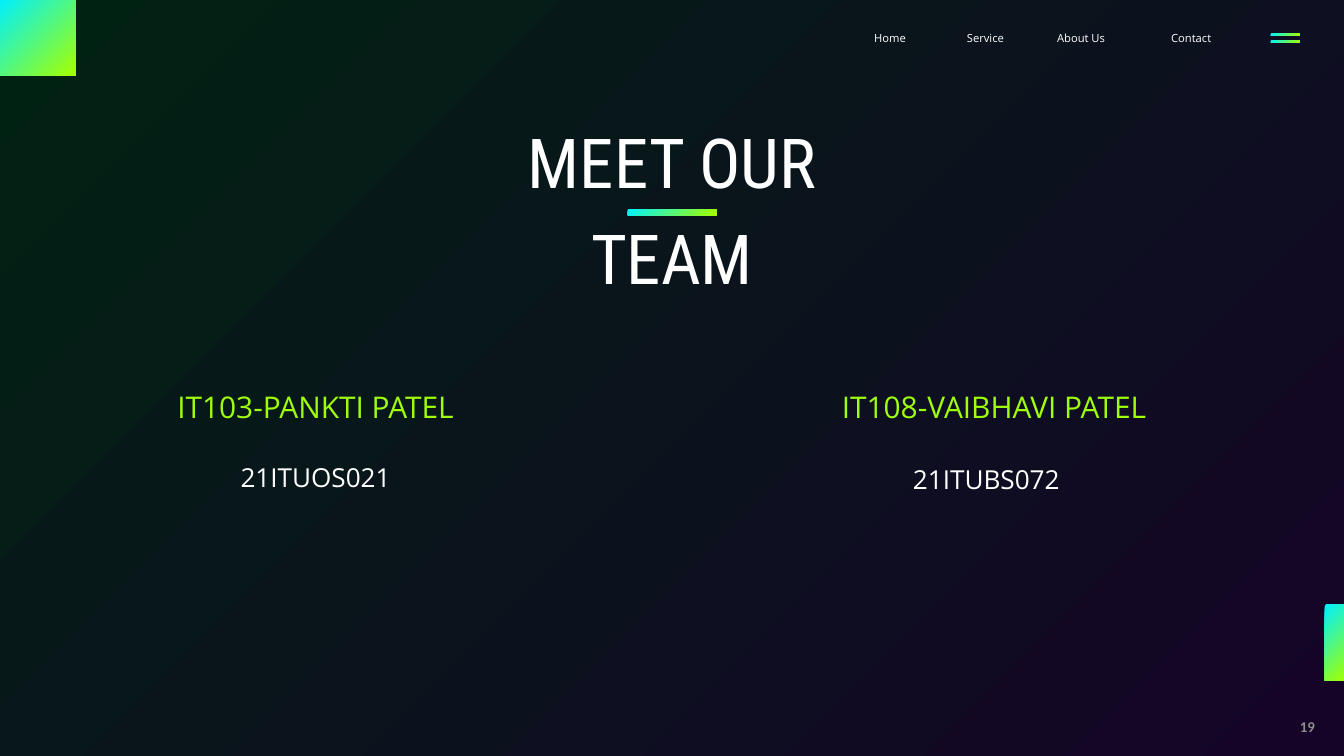
from pptx import Presentation
from pptx.dml.color import RGBColor
from pptx.enum.shapes import MSO_SHAPE as Shape
from pptx.enum.text import MSO_ANCHOR as Anchor, MSO_AUTO_SIZE as Fit, PP_ALIGN as Align
from pptx.util import Pt

GREEN = RGBColor(0x00, 0x22, 0x12)
PURPLE = RGBColor(0x15, 0x04, 0x27)
CYAN = RGBColor(0x00, 0xF0, 0xFF)
LIME = RGBColor(0xA6, 0xFF, 0x00)
NAME = RGBColor(0x9E, 0xFE, 0x0B)
WHITE = RGBColor(0xFF, 0xFF, 0xFF)
GRAY = RGBColor(0x8C, 0x8C, 0x8C)


def blend(fill, start, end):
    """Give a fill a diagonal gradient between two colours."""
    fill.gradient()
    fill.gradient_angle = 315
    for stop, color in zip(fill.gradient_stops, (start, end)):
        stop.color.rgb = color


def block(slide, left, top, width, height):
    """Draw one bright gradient rectangle."""
    shape = slide.shapes.add_shape(Shape.RECTANGLE, Pt(left), Pt(top), Pt(width), Pt(height))
    shape.shadow.inherit = False
    shape.line.fill.background()
    blend(shape.fill, CYAN, LIME)


def write(slide, text, box, size, color=WHITE, font="Open Sans", align=Align.CENTER,
          lead=None, bold=False, anchor=Anchor.TOP, shape=None):
    """Write text in a new box, or in the shape given."""
    left, top, width, height = (Pt(n) for n in box)
    if shape is None:
        shape = slide.shapes.add_textbox(left, top, width, height)
    shape.left, shape.top, shape.width, shape.height = left, top, width, height
    frame = shape.text_frame
    frame.word_wrap = True
    frame.auto_size = Fit.NONE
    frame.vertical_anchor = anchor
    frame.margin_left = frame.margin_right = frame.margin_top = frame.margin_bottom = 0
    frame.text = text
    para = frame.paragraphs[0]
    para.alignment = align
    if lead:
        para.line_spacing = Pt(lead)
    face = para.runs[0].font
    face.name, face.size, face.bold = font, Pt(size), bold
    face.color.rgb = color


def menu(slide, left, top):
    """Place the page links and the two-bar menu icon."""
    links = (("Home", 0, 64), ("Service", 99.4, 58), ("About Us", 196, 84), ("Contact", 318.2, 77))
    for text, shift, width in links:
        write(slide, text, (left + shift, top, width, 16), 12, align=Align.LEFT, lead=16.8)
    for row in range(2):
        block(slide, left + 425, top + 4.2 + row * 7.2, 31.2, 2.4)


def head(slide, left, top, width):
    """Place the title and the accent bar between its lines."""
    write(slide, "MEET OUR TEAM", (left, top, width, 100), 73.8, font="Roboto Condensed",
          lead=103.3, shape=slide.shapes.title)
    bar = 95
    block(slide, left + (width - bar) / 2, top + 111, bar, 6.5)


def member(slide, name, code, box, spot):
    """Place a member's name, with the code at an offset from it."""
    left, top, width, height = box
    right, down = spot
    write(slide, name, box, 32, color=NAME, lead=44.8)
    write(slide, code, (left + right, top + down, 240, 40), 28, lead=39.2)


def build():
    """Build the team slide and save it."""
    deck = Presentation()
    deck.slide_width, deck.slide_height = Pt(1440), Pt(810)
    slide = deck.slides.add_slide(deck.slide_layouts[5])
    blend(slide.background.fill, GREEN, PURPLE)
    block(slide, 0, 0, 81, 81)
    block(slide, 1419.5, 648, 23, 81)
    menu(slide, 936.6, 31.7)
    head(slide, 471.2, 113, 497.5)
    member(slide, "IT103-PANKTI PATEL", "21ITUOS021", (165.3, 410.4, 346, 42.5), (52.8, 77.8))
    member(slide, "IT108-VAIBHAVI PATEL", "21ITUBS072", (875.2, 410.4, 380, 42.5), (61.5, 80.6))
    write(slide, "19", (1248.5, 764, 160.5, 29), 16, color=GRAY, font="Calibri",
          align=Align.RIGHT, bold=True, anchor=Anchor.MIDDLE)
    deck.save("out.pptx")


if __name__ == "__main__":
    build()
